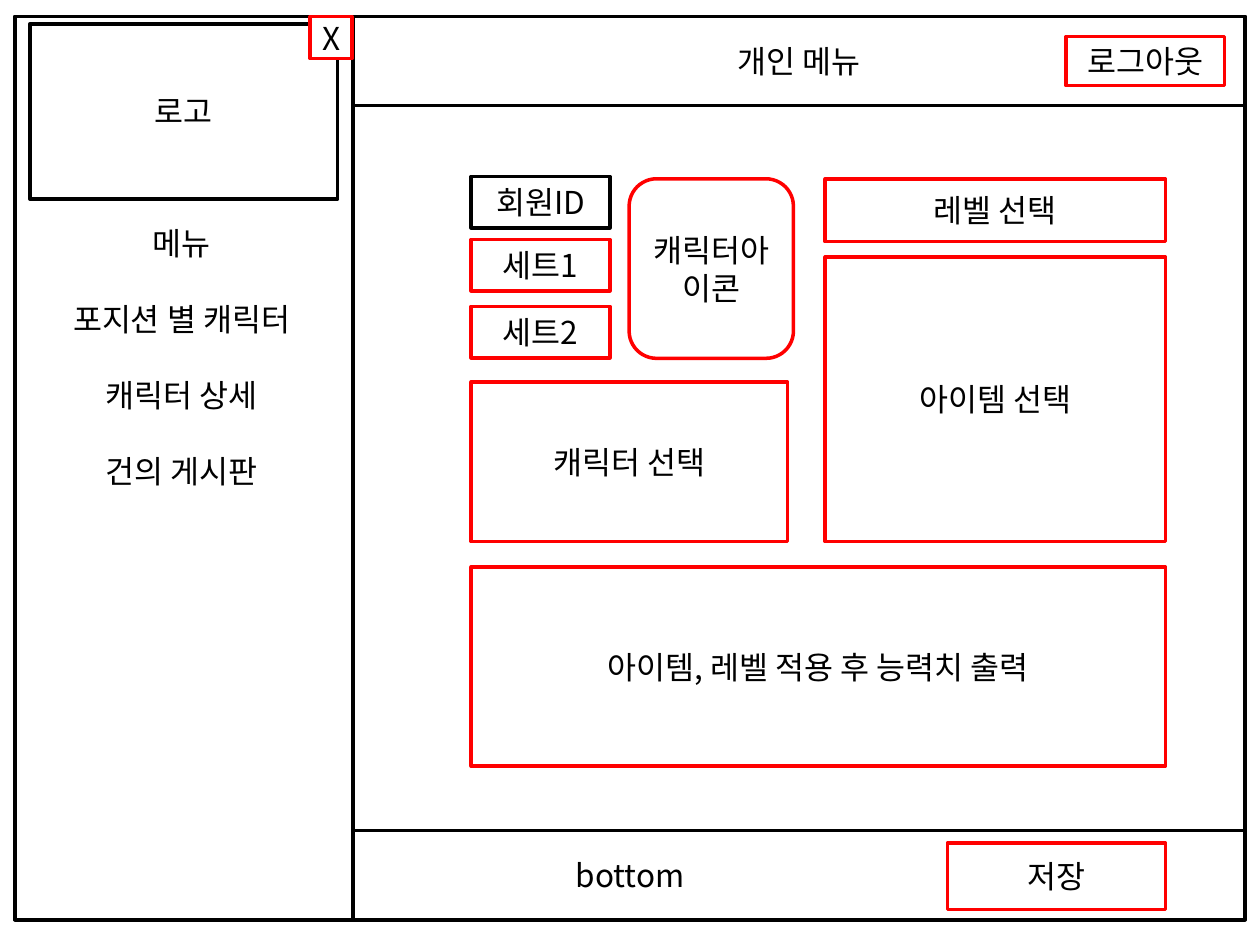
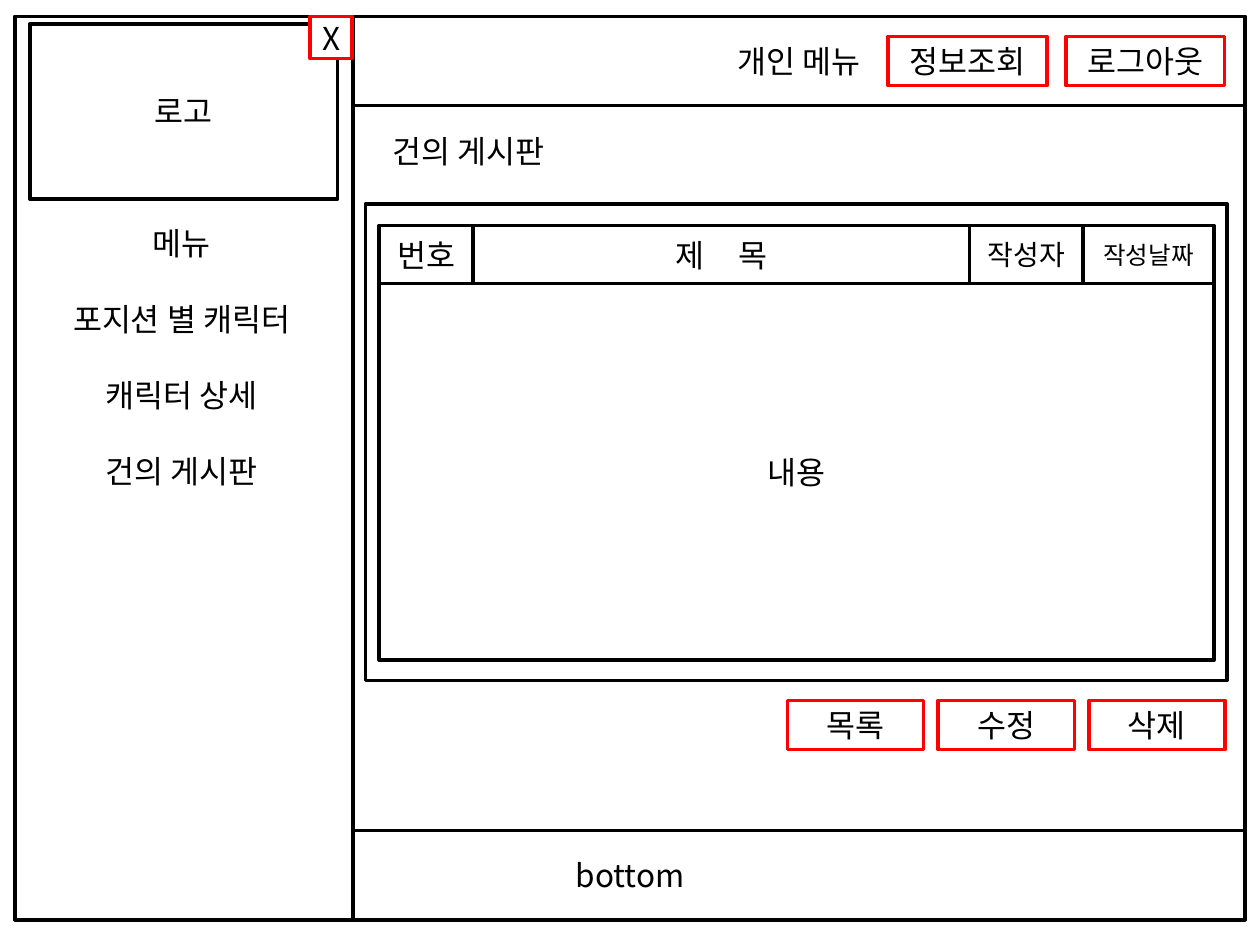
from pptx import Presentation
from pptx.dml.color import RGBColor
from pptx.enum.shapes import MSO_SHAPE as Shape
from pptx.enum.text import MSO_ANCHOR as Anchor, PP_ALIGN as Align, MSO_AUTO_SIZE as AutoSize
from pptx.oxml.ns import qn
from pptx.util import Pt
from lxml.etree import SubElement

COLORS = {"paper": "FFFFFF", "ink": "000000", "action": "FF0000"}
FONT = "Noto Sans CJK KR"
TEXT_SIZE = 18
LINE_WIDTH = 2
MENU_GAP = 21.7

LEFT, TOP, WIDTH, HEIGHT = 8.6, 9.4, 702.8, 516.2
SIDEBAR_WIDTH = 193
BAND_HEIGHT = 51
MAIN_LEFT = LEFT + SIDEBAR_WIDTH
BOTTOM_TOP = TOP + HEIGHT - BAND_HEIGHT
CLOSE_SIZE = 24

MENU = ["메뉴", "포지션 별 캐릭터", "캐릭터 상세", "건의 게시판"]

ACCOUNT_LEFT, ACCOUNT_STEP = 609.1, 101.5
ACCOUNT_SIZE = (90.7, 28.1)

MEMBER_LEFT, MEMBER_SIZE = 269.3, (79.2, 29.5)
MEMBER = [("회원ID", 100.8, "ink"), ("세트1", 136.8, "action"), ("세트2", 175, "action")]
SELECTIONS = [
    ("레벨 선택", 471.6, 102.2, 194.4, 36),
    ("아이템 선택", 471.6, 146.9, 194.4, 162.7),
    ("캐릭터 선택", MEMBER_LEFT, 218.2, 180.7, 91.4),
    ("아이템, 레벨 적용 후 능력치 출력", MEMBER_LEFT, 324, 396.7, 113.8),
    ("저장", 541.4, 481.7, 124.6, 38.2),
]

BOARD_LEFT, BOARD_TOP = 216.7, 128.9
BOARD_HEADER_HEIGHT, BOARD_BODY_HEIGHT = 33.1, 215.3
BOARD_COLUMNS = [("번호", 53.7, 18), ("제\t목", 283.7, 18), ("작성자", 64.8, 16), ("작성날짜", 74.9, 14)]
BOARD_BUTTONS = ["목록", "수정", "삭제"]
BUTTON_LEFT, BUTTON_TOP, BUTTON_STEP = 450, 400.3, 86.1
BUTTON_SIZE = (77.8, 28.1)


def color(name):
    return RGBColor.from_string(COLORS[name])


def write(shape, text, size=TEXT_SIZE, gap=0):
    frame = shape.text_frame
    frame.word_wrap = True
    frame.text = text
    for index, paragraph in enumerate(frame.paragraphs):
        paragraph.alignment = Align.CENTER
        if index and gap:
            paragraph.space_before = Pt(gap)
        for run in paragraph.runs:
            run.font.size = Pt(size)
            run.font.name = FONT
            run.font.color.rgb = color("ink")
            SubElement(run.font._element, qn("a:ea")).set("typeface", FONT)


def box(slide, left, top, width, height, text="", line="ink", size=TEXT_SIZE, kind=Shape.RECTANGLE):
    shape = slide.shapes.add_shape(kind, Pt(left), Pt(top), Pt(width), Pt(height))
    shape.shadow.inherit = False
    shape.fill.solid()
    shape.fill.fore_color.rgb = color("paper")
    shape.line.color.rgb = color(line)
    shape.line.width = Pt(LINE_WIDTH)
    if text:
        shape.text_frame.vertical_anchor = Anchor.MIDDLE
        write(shape, text, size)


def label(slide, left, top, width, height, text, gap=0):
    caption = slide.shapes.add_textbox(Pt(left), Pt(top), Pt(width), Pt(height))
    write(caption, text, gap=gap)
    caption.text_frame.auto_size = AutoSize.SHAPE_TO_FIT_TEXT


def add_page(deck, account_buttons):
    slide = deck.slides.add_slide(deck.slide_layouts[6])
    box(slide, LEFT, TOP, WIDTH, HEIGHT)
    box(slide, MAIN_LEFT, TOP, WIDTH - SIDEBAR_WIDTH, BAND_HEIGHT, "개인 메뉴")
    for index, text in enumerate(account_buttons):
        box(slide, ACCOUNT_LEFT - index * ACCOUNT_STEP, 20.9, *ACCOUNT_SIZE, text, "action")
    box(slide, LEFT, BOTTOM_TOP, WIDTH, BAND_HEIGHT, "bottom")
    box(slide, LEFT, TOP, SIDEBAR_WIDTH, HEIGHT)
    label(slide, 21.6, 124.6, 164.2, 159.8, "\n".join(MENU), MENU_GAP)
    box(slide, 17, 13.7, 176, 100)
    label(slide, 45.4, 49, 118.8, 28.8, "로고")
    box(slide, MAIN_LEFT - CLOSE_SIZE - 0.5, TOP, CLOSE_SIZE, CLOSE_SIZE, "X", "action")
    return slide


def add_character_page(deck):
    slide = add_page(deck, ["로그아웃"])
    for text, top, line in MEMBER:
        box(slide, MEMBER_LEFT, top, *MEMBER_SIZE, text, line)
    box(slide, 359.5, 102.2, 93.9, 102.6, "캐릭터아이콘", "action", kind=Shape.ROUNDED_RECTANGLE)
    for text, *place in SELECTIONS:
        box(slide, *place, text, "action")


def add_board_page(deck):
    slide = add_page(deck, ["로그아웃", "정보조회"])
    label(slide, 208.8, 72, 118.1, 28.8, "건의 게시판")
    box(slide, 208.8, 116.6, 492.5, 272.2)
    left = BOARD_LEFT
    for text, width, size in BOARD_COLUMNS:
        box(slide, left, BOARD_TOP, width, BOARD_HEADER_HEIGHT, text, size=size)
        left += width
    box(slide, BOARD_LEFT, BOARD_TOP + BOARD_HEADER_HEIGHT, left - BOARD_LEFT, BOARD_BODY_HEIGHT, "내용")
    for index, text in enumerate(BOARD_BUTTONS):
        box(slide, BUTTON_LEFT + index * BUTTON_STEP, BUTTON_TOP, *BUTTON_SIZE, text, "action")


deck = Presentation()
deck.slide_width, deck.slide_height = Pt(720), Pt(540)
add_character_page(deck)
add_board_page(deck)
deck.save("out.pptx")
